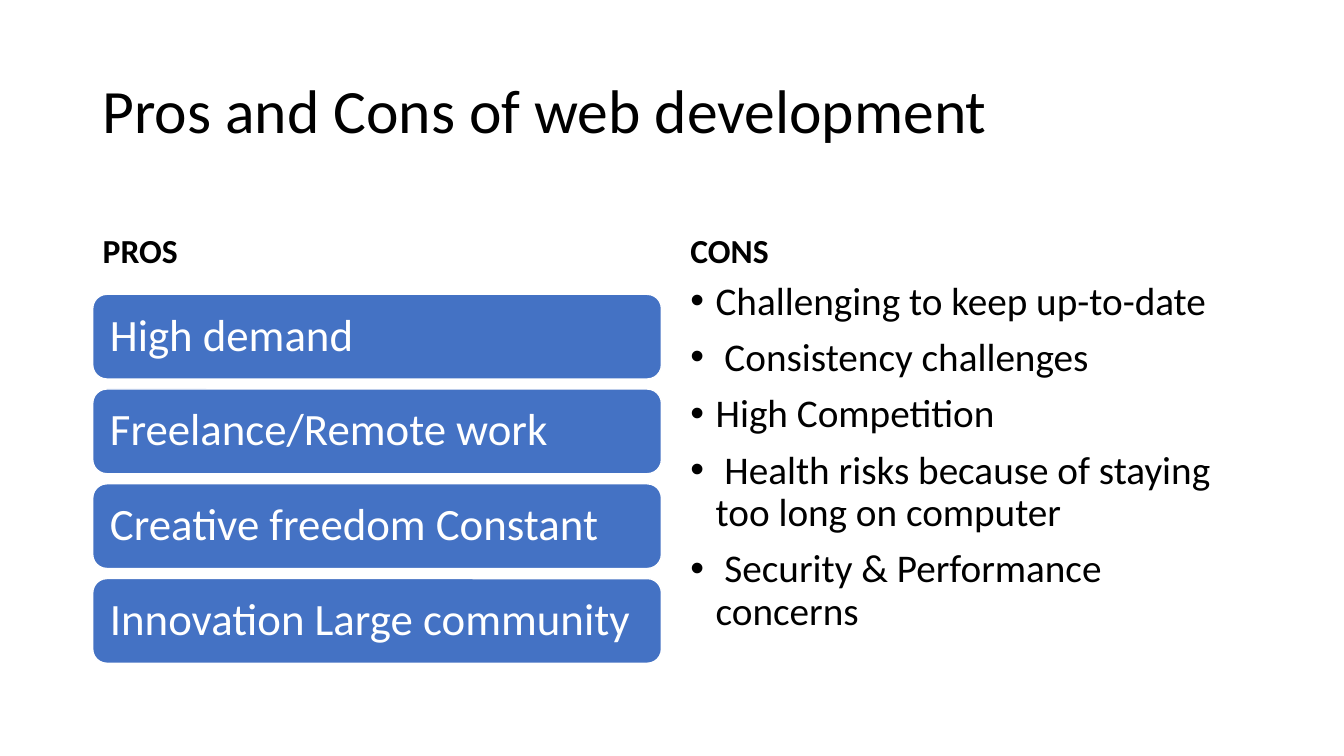
from dataclasses import dataclass

import pptx
import pptx.dml.color
import pptx.enum.shapes
import pptx.enum.text
import pptx.oxml
import pptx.oxml.ns
import pptx.util
from pptx.util import Inches

ANCHOR = pptx.enum.text.MSO_ANCHOR
BLACK, WHITE, BLUE = "000000", "FFFFFF", "4472C4"


@dataclass
class Block:
    """A text area: lengths in inches, type size in points."""
    lines: list[str]
    left: float
    top: float
    width: float
    height: float
    size: int
    anchor: ANCHOR
    bold: bool = False
    space_before: int = 0
    bulleted: bool = False


def rgb(code: str) -> pptx.dml.color.RGBColor:
    return pptx.dml.color.RGBColor.from_string(code)


def add_bullet(paragraph) -> None:
    properties = paragraph._p.get_or_add_pPr()
    properties.set("marL", str(Inches(0.25)))
    properties.set("indent", str(-Inches(0.25)))
    namespace = pptx.oxml.ns.nsdecls("a")
    for xml in (f'<a:buFont {namespace} typeface="Arial"/>',
                f'<a:buChar {namespace} char="•"/>'):
        properties.append(pptx.oxml.parse_xml(xml))


def write_text(frame, block: Block, color: str) -> None:
    frame.word_wrap = True
    frame.vertical_anchor = block.anchor
    frame.text = "\n".join(block.lines)
    for paragraph in frame.paragraphs:
        paragraph.alignment = pptx.enum.text.PP_ALIGN.LEFT
        paragraph.line_spacing = 0.9
        paragraph.space_before = pptx.util.Pt(block.space_before)
        if block.bulleted:
            add_bullet(paragraph)
        for run in paragraph.runs:
            run.font.name = "Calibri"
            run.font.size = pptx.util.Pt(block.size)
            run.font.bold = block.bold
            run.font.color.rgb = rgb(color)


def bounds(block: Block) -> list[int]:
    return [Inches(n) for n in (block.left, block.top, block.width, block.height)]


def draw_text(slide, block: Block) -> None:
    write_text(slide.shapes.add_textbox(*bounds(block)).text_frame, block, BLACK)


def draw_card(slide, block: Block) -> None:
    card = slide.shapes.add_shape(
        pptx.enum.shapes.MSO_SHAPE.ROUNDED_RECTANGLE, *bounds(block))
    card.shadow.inherit = False
    card.fill.solid()
    card.fill.fore_color.rgb = rgb(BLUE)
    card.line.color.rgb = rgb(WHITE)
    card.line.width = pptx.util.Pt(1)
    card.text_frame.margin_left = card.text_frame.margin_right = Inches(0.13)
    write_text(card.text_frame, block, WHITE)


def main() -> None:
    deck = pptx.Presentation()
    deck.slide_width, deck.slide_height = Inches(13.33), Inches(7.5)
    slide = deck.slides.add_slide(deck.slide_layouts[6])

    # Title and column headings
    pros_left, cons_left = 0.92, 6.75
    pros_width, cons_width = 5.64, 5.67
    draw_text(slide, Block(["Pros and Cons of web development"],
                           pros_left, 0.4, 11.5, 1.45, 44, ANCHOR.MIDDLE))
    for heading, left, width in (("PROS", pros_left, pros_width),
                                 ("CONS", cons_left, cons_width)):
        draw_text(slide, Block([heading], left, 1.84, width, 0.9, 24,
                               ANCHOR.BOTTOM, bold=True, space_before=10))

    # Pros: evenly stacked cards
    pros = ["High demand", "Freelance/Remote work",
            "Creative freedom Constant", "Innovation Large community"]
    for row, pro in enumerate(pros):
        draw_card(slide, Block([pro], pros_left, 2.92 + 0.94 * row,
                               pros_width, 0.84, 32, ANCHOR.MIDDLE))

    # Cons: bulleted list, some items opening with a no-break space
    cons = ["Challenging to keep up-to-date",
            " Consistency challenges",
            "High Competition",
            " Health risks because of staying too long on computer",
            " Security & Performance concerns"]
    draw_text(slide, Block(cons, cons_left, 2.74, cons_width, 4.03, 28,
                           ANCHOR.TOP, space_before=10, bulleted=True))

    deck.save("out.pptx")


if __name__ == "__main__":
    main()
